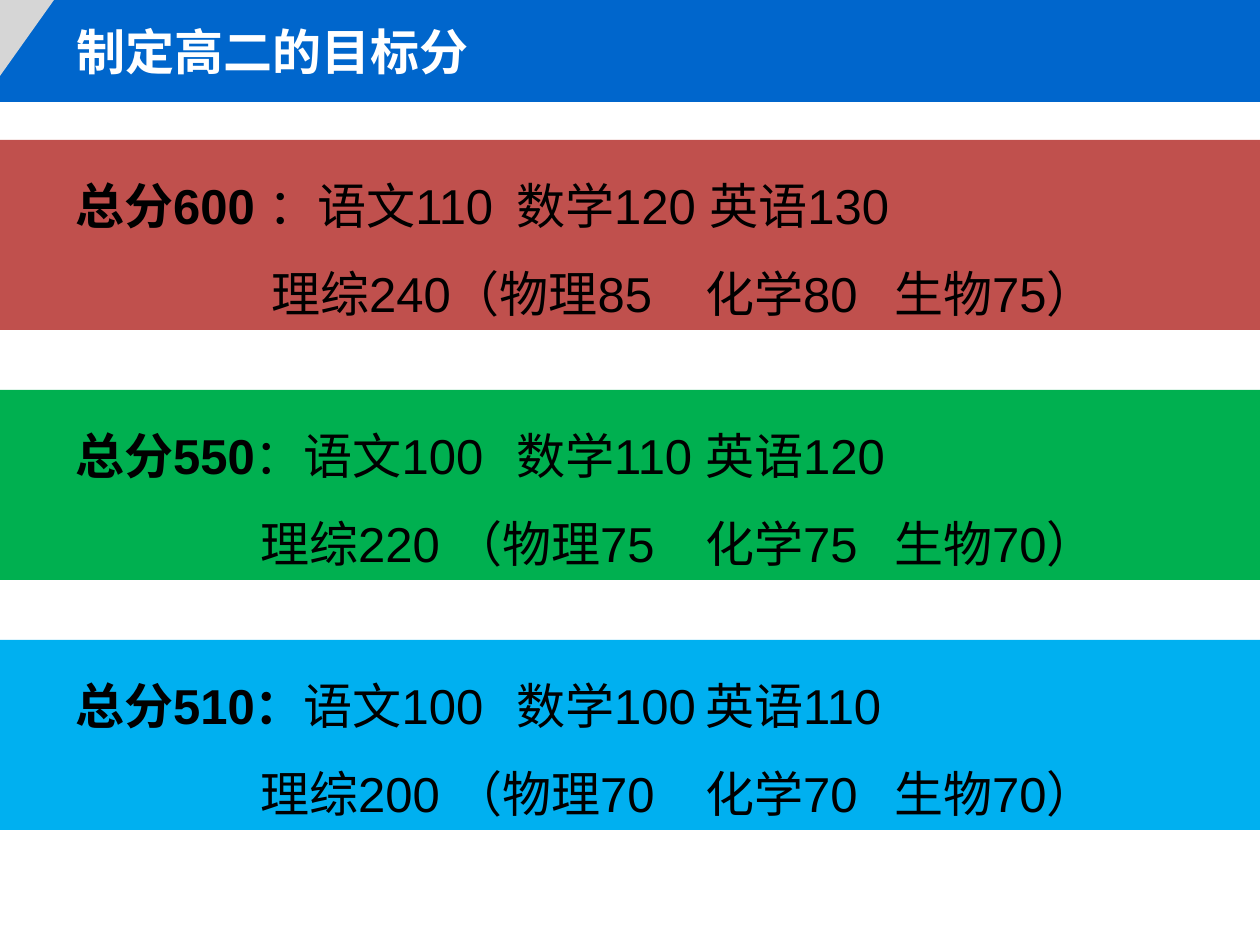
from lxml.etree import SubElement
from pptx import Presentation
from pptx.dml.color import RGBColor
from pptx.enum.shapes import MSO_SHAPE
from pptx.enum.text import MSO_ANCHOR, MSO_AUTO_SIZE, PP_ALIGN
from pptx.oxml.ns import qn
from pptx.util import Emu, Pt

COLORS = {
    "banner": "0066CC",
    "corner": "D6D6D6",
    "title": "FFFFFF",
    "text": "000000",
    "red": "C0504D",
    "green": "00B050",
    "blue": "00B0F0",
}
LATIN = "Arial"
CJK = "Noto Sans CJK SC"
WIDTH, HEIGHT = 1260, 945


def px(length):
    return Emu(round(length * 914400 / 126))


class GoalSlide:
    size = Pt(28)

    def __init__(self, deck):
        self.slide = deck.slides.add_slide(deck.slide_layouts[5])

    def style_run(self, run, color, bold, face=LATIN):
        run.font.size = self.size
        run.font.bold = bold
        run.font.color.rgb = RGBColor.from_string(COLORS[color])
        run.font.name = face
        SubElement(run.font._element, qn("a:ea")).set("typeface", CJK)

    def block(self, preset, left, top, width, height, color):
        block = self.slide.shapes.add_shape(preset, px(left), px(top), px(width), px(height))
        block.shadow.inherit = False
        block.fill.solid()
        block.fill.fore_color.rgb = RGBColor.from_string(COLORS[color])
        block.line.fill.background()
        return block

    def corner(self, width, height):
        corner = self.block(MSO_SHAPE.RIGHT_TRIANGLE, 0, 0, width, height, "corner")
        corner._element.spPr.xfrm.set("flipV", "1")

    def title(self, text, left, top, width, height):
        title = self.slide.shapes.title
        self.slide.shapes._spTree.append(title._element)
        title.left, title.top = px(left), px(top)
        title.width, title.height = px(width), px(height)
        frame = title.text_frame
        frame.text = text
        frame.auto_size = MSO_AUTO_SIZE.NONE
        frame.vertical_anchor = MSO_ANCHOR.MIDDLE
        frame.paragraphs[0].alignment = PP_ALIGN.LEFT
        self.style_run(frame.paragraphs[0].runs[0], "title", True)

    def score_line(self, paragraph, pieces, indent, stops):
        paragraph.alignment = PP_ALIGN.JUSTIFY
        paragraph.line_spacing = 1.5
        properties = paragraph._p.get_or_add_pPr()
        properties.set("marL", "0")
        properties.set("indent", str(px(indent)))
        tabs = SubElement(properties, qn("a:tabLst"))
        for stop in stops:
            SubElement(tabs, qn("a:tab"), pos=str(px(stop)), algn="l")
        for text, bold, face in pieces:
            run = paragraph.add_run()
            run.text = text
            self.style_run(run, "text", bold, face)

    def band(self, top, color, subjects, subject_stops, sciences, science_indent, science_stops):
        band = self.block(MSO_SHAPE.RECTANGLE, 0, top, WIDTH, 190, color)
        frame = band.text_frame
        frame.word_wrap = True
        frame.vertical_anchor = MSO_ANCHOR.TOP
        self.score_line(frame.paragraphs[0], subjects, 63, subject_stops)
        self.score_line(frame.add_paragraph(), [(sciences, False, LATIN)],
                        science_indent, science_stops)


def main():
    deck = Presentation()
    deck.slide_width, deck.slide_height = px(WIDTH), px(HEIGHT)
    goals = GoalSlide(deck)
    goals.block(MSO_SHAPE.RECTANGLE, 0, 0, WIDTH, 102, "banner")
    goals.corner(54, 76)
    goals.title("制定高二的目标分", 64, 15, 611, 72)

    targets = [
        ("red",
         [("总分600 ", True, LATIN), ("：语文110\t数学120 英语130", False, LATIN)],
         [553], "理综240（物理85\t化学80\t生物75）", 259, [715, 917]),
        ("green",
         [("总分550", True, LATIN), ("：语文100\t数学110\t英语120", False, LATIN)],
         [543, 770], "理综220 （物理75\t化学75\t生物70）", 248, [718, 920]),
        ("blue",
         [("总分510", True, LATIN), ("：", True, CJK),
          ("语文100\t数学100\t英语110", False, LATIN)],
         [543, 773], "理综200 （物理70\t化学70\t生物70）", 248, [718, 920]),
    ]
    for row, target in enumerate(targets):
        goals.band(140 + 250 * row, *target)
    deck.save("out.pptx")


if __name__ == "__main__":
    main()
